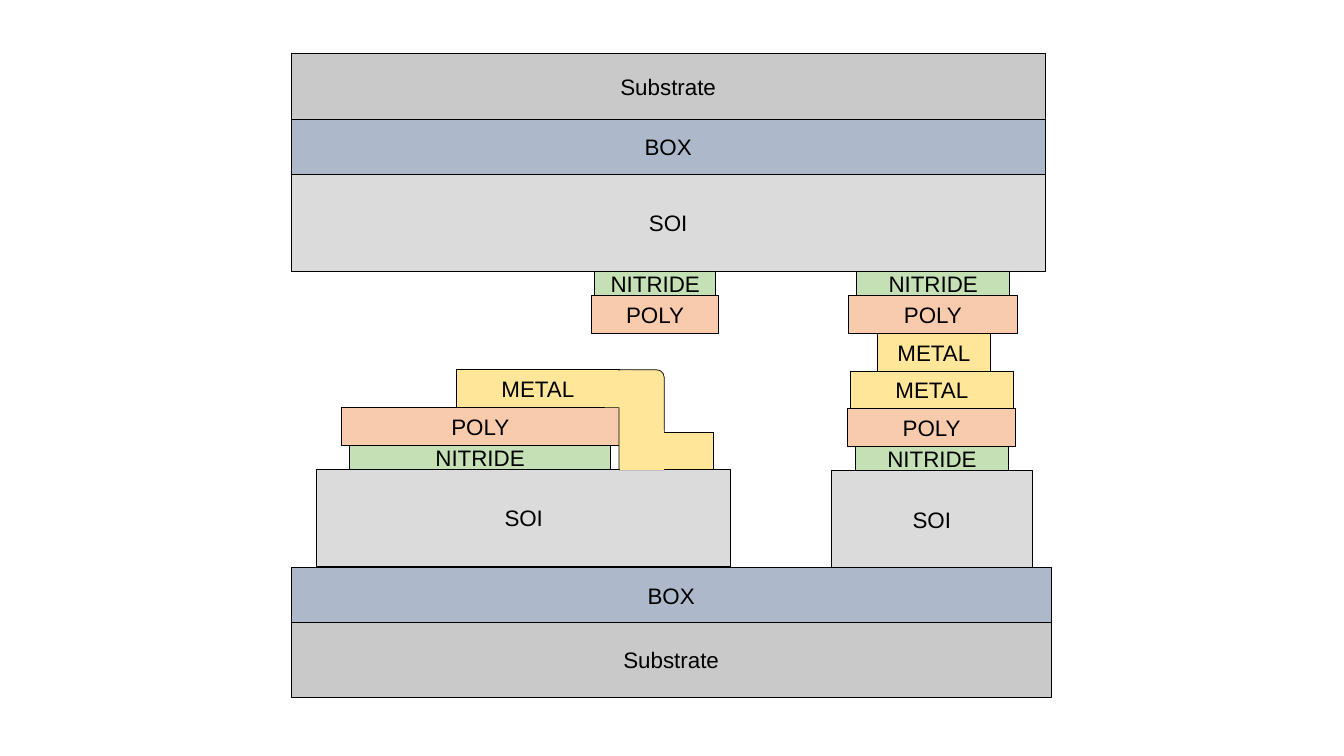
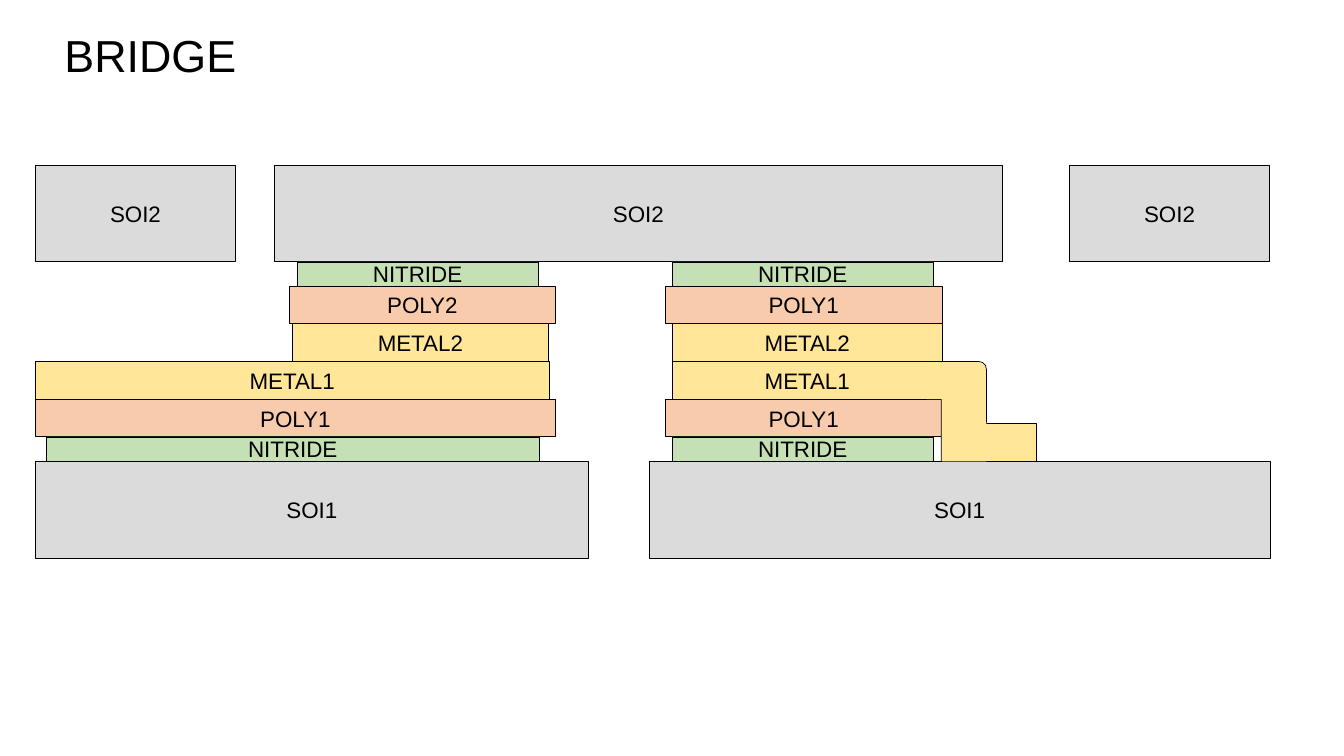
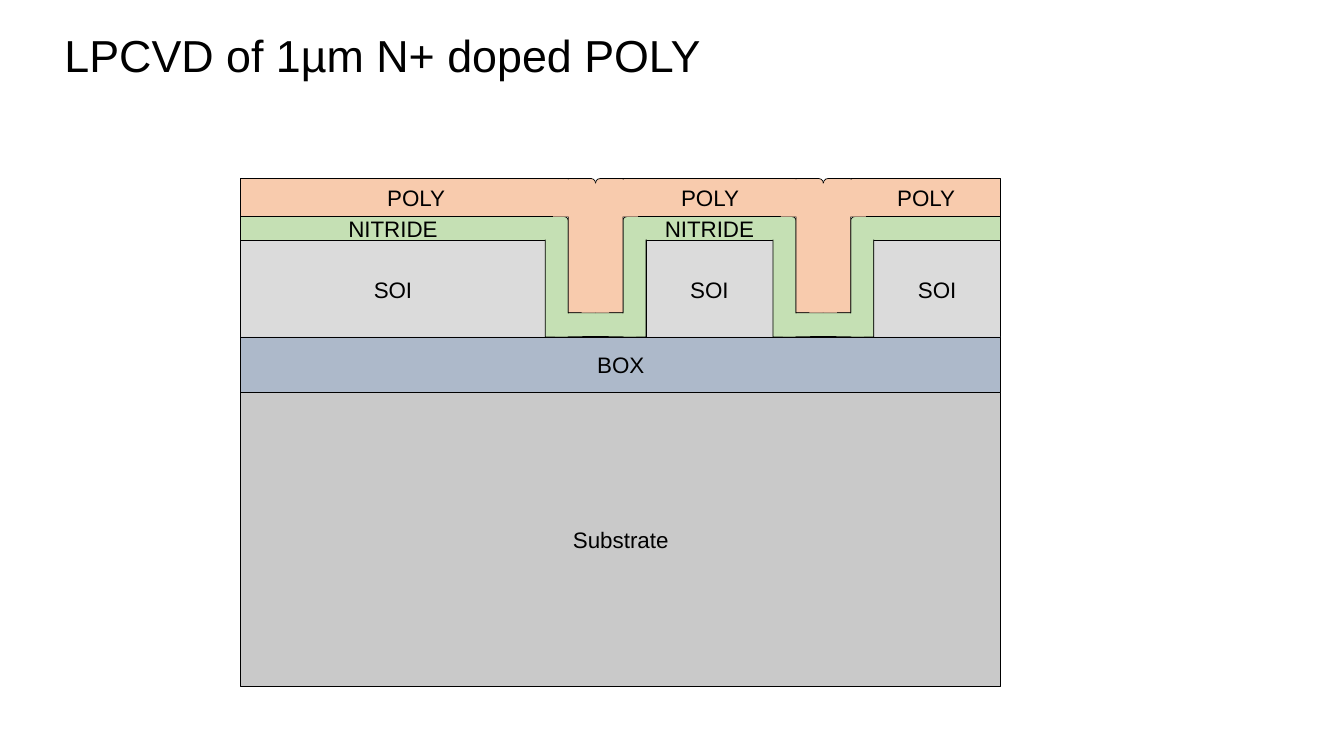
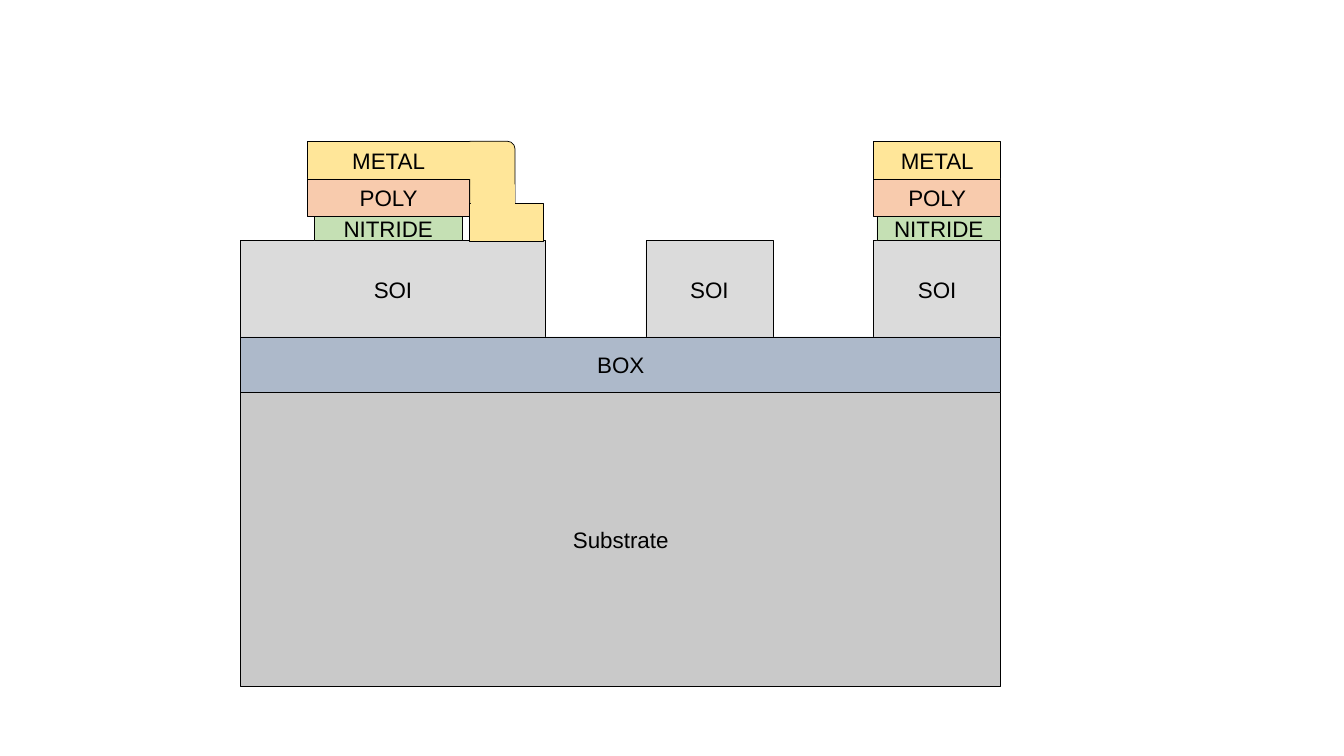
from dataclasses import dataclass
from enum import Enum

from pptx import Presentation
from pptx.dml.color import RGBColor
from pptx.enum.shapes import MSO_SHAPE as Preset
from pptx.enum.text import MSO_ANCHOR as Anchor, PP_ALIGN as Align
from pptx.slide import Slide
from pptx.util import Cm, Pt

FONT = "Arial"
INK = "000000"
TITLE_ONLY, BLANK = 5, 6


class Material(Enum):
    SUBSTRATE = ("C9C9C9", 1.88)
    BOX = ("ADB9CA", 1.39)
    SOI = ("DBDBDB", 2.44)
    NITRIDE = ("C5E0B4", 0.61)
    POLY = ("F8CBAD", 0.95)
    METAL = ("FFE699", 0.95)

    def __init__(self, colour: str, thickness: float):
        self.colour = colour
        self.thickness = thickness


SUBSTRATE, BOX, SOI, NITRIDE, POLY, METAL = Material


@dataclass(frozen=True)
class Layer:
    material: Material
    left: float
    width: float
    label: str = ""
    thickness: float = 0

    @property
    def height(self) -> float:
        return self.thickness or self.material.thickness


@dataclass(frozen=True)
class Part:
    material: Material
    left: float
    top: float
    width: float
    height: float
    label: str = ""
    rounded: bool = False
    flipped: bool = False
    outlined: bool = True


def rgb(colour: str) -> RGBColor:
    return RGBColor.from_string(colour)


def add_part(slide: Slide, part: Part) -> None:
    preset = Preset.ROUND_1_RECTANGLE if part.rounded else Preset.RECTANGLE
    shape = slide.shapes.add_shape(
        preset, Cm(part.left), Cm(part.top), Cm(part.width), Cm(part.height))
    shape.shadow.inherit = False
    shape.fill.solid()
    shape.fill.fore_color.rgb = rgb(part.material.colour)
    if part.outlined:
        shape.line.color.rgb = rgb(INK)
        shape.line.width = Pt(0.5)
    else:
        shape.line.fill.background()
    if part.flipped:
        shape.element.spPr.xfrm.set("flipH", "1")
    if part.label:
        frame = shape.text_frame
        frame.text = part.label
        frame.vertical_anchor = Anchor.MIDDLE
        label = frame.paragraphs[0]
        label.alignment = Align.CENTER
        label.font.name = FONT
        label.font.size = Pt(16)
        label.font.color.rgb = rgb(INK)


def add_patch(slide: Slide, material: Material, left: float, top: float,
              width: float, height: float) -> None:
    add_part(slide, Part(material, left, top, width, height, outlined=False))


def add_stack(slide: Slide, top: float, layers: list[Layer]) -> None:
    for layer in layers:
        add_part(slide, Part(layer.material, layer.left, top, layer.width,
                             layer.height, layer.label))
        top += layer.height


def add_metal_step(slide: Slide, left: float, top: float, foot_start: float = 0.97,
                   foot_end: float = 2.39, cover_top: float = 1.52) -> None:
    add_part(slide, Part(METAL, left, top, 1.14, 2.52, rounded=True))
    add_patch(slide, METAL, left - 0.36, top + 0.02, 0.69, 0.93)
    add_part(slide, Part(METAL, left + foot_start, top + 1.57,
                         foot_end - foot_start, 0.95))
    add_patch(slide, METAL, left + 0.03, top + cover_top, 1.11, 1)


def add_wafer(slide: Slide) -> None:
    for left, width in ((6.07, 7.67), (16.28, 3.2), (22.02, 3.2)):
        add_part(slide, Part(SOI, left, 6.07, width, SOI.thickness, "SOI"))
    add_stack(slide, 8.49, [
        Layer(BOX, 6.07, 19.15, "BOX"),
        Layer(SUBSTRATE, 6.07, 19.15, "Substrate", 7.42),
    ])


def add_nitride_liner(slide: Slide, left: float) -> None:
    top = 5.46
    add_part(slide, Part(NITRIDE, left, top + 2.41, 2.54, 0.61))
    for offset, flipped in ((0, False), (1.96, True)):
        add_part(slide, Part(NITRIDE, left + offset, top, 0.58, 3.03,
                             rounded=True, flipped=flipped))
    for offset, drop in ((-0.33, 0), (2.18, 0), (0.25, 2.44), (1.6, 2.44)):
        add_patch(slide, NITRIDE, left + offset, top + drop, 0.69, 0.58)


def add_poly_plug(slide: Slide, left: float) -> None:
    top = 4.5
    for offset, flipped in ((0.58, False), (1.27, True)):
        add_part(slide, Part(POLY, left + offset, top, 0.69, 3.38,
                             rounded=True, flipped=flipped))
    add_patch(slide, POLY, left + 0.92, top + 0.12, 0.69, 3.26)
    for offset in (0.2, 1.65):
        add_patch(slide, POLY, left + offset, top + 0.02, 0.69, 0.94)


def add_slide(deck: Presentation, title: str = "") -> Slide:
    slide = deck.slides.add_slide(deck.slide_layouts[TITLE_ONLY if title else BLANK])
    if title:
        heading = slide.shapes.title
        heading.left, heading.top = Cm(1.37), Cm(0.56)
        heading.width, heading.height = Cm(17.22), Cm(1.63)
        frame = heading.text_frame
        frame.text = title
        frame.vertical_anchor = Anchor.TOP
        line = frame.paragraphs[0]
        line.alignment = Align.LEFT
        line.font.name = FONT
        line.font.size = Pt(32)
        line.font.color.rgb = rgb(INK)
    return slide


def build_bonded_wafers(deck: Presentation) -> None:
    slide = add_slide(deck)
    add_stack(slide, 1.35, [
        Layer(SUBSTRATE, 7.34, 19, "Substrate", 1.66),
        Layer(BOX, 7.34, 19, "BOX"),
        Layer(SOI, 7.34, 19, "SOI"),
        Layer(NITRIDE, 21.59, 3.86, "NITRIDE"),
        Layer(POLY, 21.39, 4.24, "POLY"),
        Layer(METAL, 22.1, 2.87, "METAL"),
        Layer(METAL, 21.44, 4.09, "METAL"),
        Layer(POLY, 21.36, 4.24, "POLY"),
        Layer(NITRIDE, 21.56, 3.86, "NITRIDE"),
        Layer(SOI, 20.96, 5.05, "SOI"),
        Layer(BOX, 7.34, 19.15, "BOX"),
        Layer(SUBSTRATE, 7.34, 19.15, "Substrate"),
    ])
    add_stack(slide, 6.84, [
        Layer(NITRIDE, 14.99, 3.05, "NITRIDE"),
        Layer(POLY, 14.91, 3.2, "POLY"),
    ])
    add_stack(slide, 9.32, [
        Layer(METAL, 11.51, 4.09, "METAL"),
        Layer(POLY, 8.61, 6.99, "POLY"),
        Layer(NITRIDE, 8.81, 6.58, "NITRIDE"),
        Layer(SOI, 7.98, 10.44, "SOI"),
    ])
    add_metal_step(slide, 15.6, 9.32)


def build_bridge(deck: Presentation) -> None:
    slide = add_slide(deck, "BRIDGE")
    top = 4.16
    for left in (0.89, 26.95):
        add_stack(slide, top, [Layer(SOI, left, 5.05, "SOI2")])
    add_stack(slide, top, [
        Layer(SOI, 6.91, 18.36, "SOI2"),
        Layer(NITRIDE, 16.94, 6.58, "NITRIDE"),
        Layer(POLY, 16.76, 6.99, "POLY1"),
        Layer(METAL, 16.94, 6.81, "METAL2"),
        Layer(METAL, 16.94, 6.81, "METAL1"),
        Layer(POLY, 16.76, 6.99, "POLY1"),
        Layer(NITRIDE, 16.94, 6.58, "NITRIDE"),
        Layer(SOI, 16.36, 15.65, "SOI1"),
    ])
    add_stack(slide, top + SOI.thickness, [
        Layer(NITRIDE, 7.49, 6.07, "NITRIDE"),
        Layer(POLY, 7.29, 6.71, "POLY2"),
        Layer(METAL, 7.37, 6.45, "METAL2"),
        Layer(METAL, 0.89, 12.95, "METAL1"),
        Layer(POLY, 0.89, 13.11, "POLY1"),
        Layer(NITRIDE, 1.17, 12.42, "NITRIDE"),
        Layer(SOI, 0.89, 13.94, "SOI1"),
    ])
    add_metal_step(slide, 23.72, 9.11)


def build_poly_deposition(deck: Presentation) -> None:
    slide = add_slide(deck, "LPCVD of 1µm N+ doped POLY")
    trenches = (13.74, 19.48)
    add_wafer(slide)
    for left, width, label in ((6.07, 7.67, "NITRIDE"), (16.28, 3.2, "NITRIDE"),
                               (22.02, 3.2, "")):
        add_stack(slide, 5.46, [Layer(NITRIDE, left, width, label)])
    for trench in trenches:
        add_nitride_liner(slide, trench)
    for left, width in ((6.07, 8.84), (15.7, 4.39), (21.46, 3.76)):
        add_stack(slide, 4.5, [Layer(POLY, left, width, "POLY")])
    for trench in trenches:
        add_poly_plug(slide, trench)


def build_metal_contacts(deck: Presentation) -> None:
    slide = add_slide(deck)
    top = 3.56
    add_wafer(slide)
    add_stack(slide, top, [
        Layer(METAL, 7.75, 4.09, "METAL"),
        Layer(POLY, 7.75, 4.09, "POLY"),
        Layer(NITRIDE, 7.92, 3.73, "NITRIDE"),
    ])
    add_stack(slide, top, [
        Layer(METAL, 22.02, 3.2, "METAL"),
        Layer(POLY, 22.02, 3.2, "POLY"),
        Layer(NITRIDE, 22.1, 3.12, "NITRIDE"),
    ])
    add_metal_step(slide, 11.84, top, foot_start=0, foot_end=1.85, cover_top=1.09)


def main() -> None:
    deck = Presentation()
    deck.slide_width, deck.slide_height = Cm(33.87), Cm(19.05)
    build_bonded_wafers(deck)
    build_bridge(deck)
    build_poly_deposition(deck)
    build_metal_contacts(deck)
    deck.save("out.pptx")


if __name__ == "__main__":
    main()
